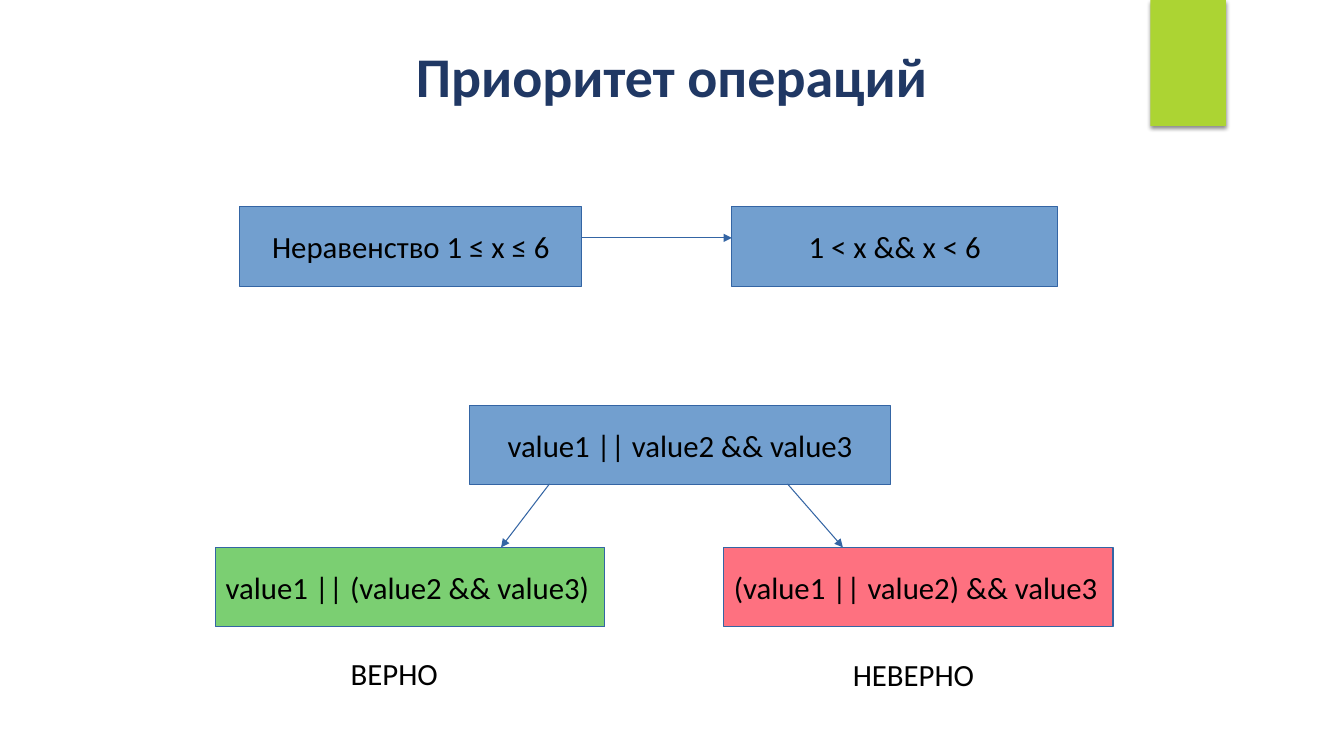
from dataclasses import dataclass

from lxml.etree import SubElement as Sub
from pptx import Presentation
from pptx.dml.color import RGBColor as Rgb
from pptx.enum.shapes import MSO_CONNECTOR as Conn, MSO_SHAPE as Form
from pptx.enum.text import MSO_ANCHOR as Anchor, PP_ALIGN as Align
from pptx.oxml.ns import qn
from pptx.shapes.autoshape import Shape
from pptx.slide import Slide
from pptx.util import Inches, Pt


@dataclass(frozen=True)
class Theme:
    font: str = "Calibri"
    head: int = 40
    body: int = 22
    rule: float = 0.75
    navy: str = "203864"
    ink: str = "000000"
    edge: str = "3465A4"
    blue: str = "729FCF"
    green: str = "7BCF72"
    red: str = "FE7180"
    lime: str = "ACD433"


@dataclass(frozen=True)
class Box:
    text: str
    left: float
    top: float
    width: float
    fill: str
    align: Align = Align.CENTER


@dataclass(frozen=True)
class Arrow:
    start: tuple[float, float]
    end: tuple[float, float]


@dataclass(frozen=True)
class Label:
    text: str
    left: float
    top: float


THEME = Theme()
TALL = 0.79
ROW1, ROW2, ROW3 = 2.05, 4.02, 5.43

BOXES = (
    Box("Неравенство 1 ≤ x ≤ 6", 2.38, ROW1, 3.39, THEME.blue),
    Box("1 < x && x < 6", 7.26, ROW1, 3.23, THEME.blue),
    Box("value1 || value2 && value3", 4.66, ROW2, 4.17, THEME.blue),
    Box("value1 || (value2 && value3)", 2.14, ROW3, 3.86, THEME.green, Align.JUSTIFY),
    Box("(value1 || value2) && value3", 7.18, ROW3, 3.86, THEME.red, Align.JUSTIFY),
)
ARROWS = (
    Arrow((5.76, 2.36), (7.26, 2.36)),
    Arrow((5.45, 4.8), (4.97, ROW3)),
    Arrow((7.81, 4.8), (8.36, ROW3)),
)
LABELS = (
    Label("ВЕРНО", 3.38, 6.45),
    Label("НЕВЕРНО", 8.36, 6.46),
)


def write(shape: Shape, text: str, *, size: int = THEME.body,
          color: str = THEME.ink, bold: bool = False,
          align: Align = Align.LEFT, anchor: Anchor = Anchor.TOP,
          wrap: bool = True) -> None:
    frame = shape.text_frame
    frame.word_wrap = wrap
    frame.vertical_anchor = anchor
    para = frame.paragraphs[0]
    para.alignment = align
    run = para.add_run()
    run.text = text
    run.font.name = THEME.font
    run.font.size = Pt(size)
    run.font.bold = bold
    run.font.color.rgb = Rgb.from_string(color)


def add_rect(slide: Slide, left: float, top: float, width: float,
             height: float, fill: str) -> Shape:
    rect = slide.shapes.add_shape(
        Form.RECTANGLE, Inches(left), Inches(top), Inches(width), Inches(height))
    rect.fill.solid()
    rect.fill.fore_color.rgb = Rgb.from_string(fill)
    rect.line.fill.background()
    rect.shadow.inherit = False
    return rect


def add_tab(slide: Slide) -> None:
    tab = add_rect(slide, 11.41, 0, 0.75, 1.25, THEME.lime)
    effect = tab.element.spPr.find(qn("a:effectLst"))
    shade = Sub(effect, qn("a:outerShdw"), blurRad=str(Pt(3)), dist=str(Pt(2)),
                dir="5400000", rotWithShape="0")
    color = Sub(shade, qn("a:srgbClr"), val=THEME.ink)
    Sub(color, qn("a:alpha"), val="45000")


def add_text(slide: Slide, left: float, top: float, width: float,
             height: float) -> Shape:
    return slide.shapes.add_textbox(
        Inches(left), Inches(top), Inches(width), Inches(height))


def add_box(slide: Slide, box: Box) -> None:
    rect = add_rect(slide, box.left, box.top, box.width, TALL, box.fill)
    rect.line.color.rgb = Rgb.from_string(THEME.edge)
    rect.line.width = Pt(THEME.rule)
    write(rect, box.text, align=box.align, anchor=Anchor.MIDDLE, wrap=False)


def add_arrow(slide: Slide, arrow: Arrow) -> None:
    ends = [Inches(value) for value in (*arrow.start, *arrow.end)]
    link = slide.shapes.add_connector(Conn.STRAIGHT, *ends)
    link.line.color.rgb = Rgb.from_string(THEME.edge)
    link.line.width = Pt(THEME.rule)
    props = link.element.spPr
    Sub(props.find(qn("a:ln")), qn("a:tailEnd"), type="triangle")
    Sub(props, qn("a:effectLst"))


def main() -> None:
    deck = Presentation()
    deck.slide_width = Inches(13.33)
    deck.slide_height = Inches(7.5)
    slide = deck.slides.add_slide(deck.slide_layouts[6])
    add_tab(slide)
    write(add_text(slide, 2.35, 0.33, 8.62, 0.83), "Приоритет операций",
          size=THEME.head, color=THEME.navy, bold=True,
          align=Align.CENTER, anchor=Anchor.MIDDLE)
    for box in BOXES:
        add_box(slide, box)
    for arrow in ARROWS:
        add_arrow(slide, arrow)
    for label in LABELS:
        write(add_text(slide, label.left, label.top, 1.98, 0.4), label.text)
    deck.save("out.pptx")


if __name__ == "__main__":
    main()
